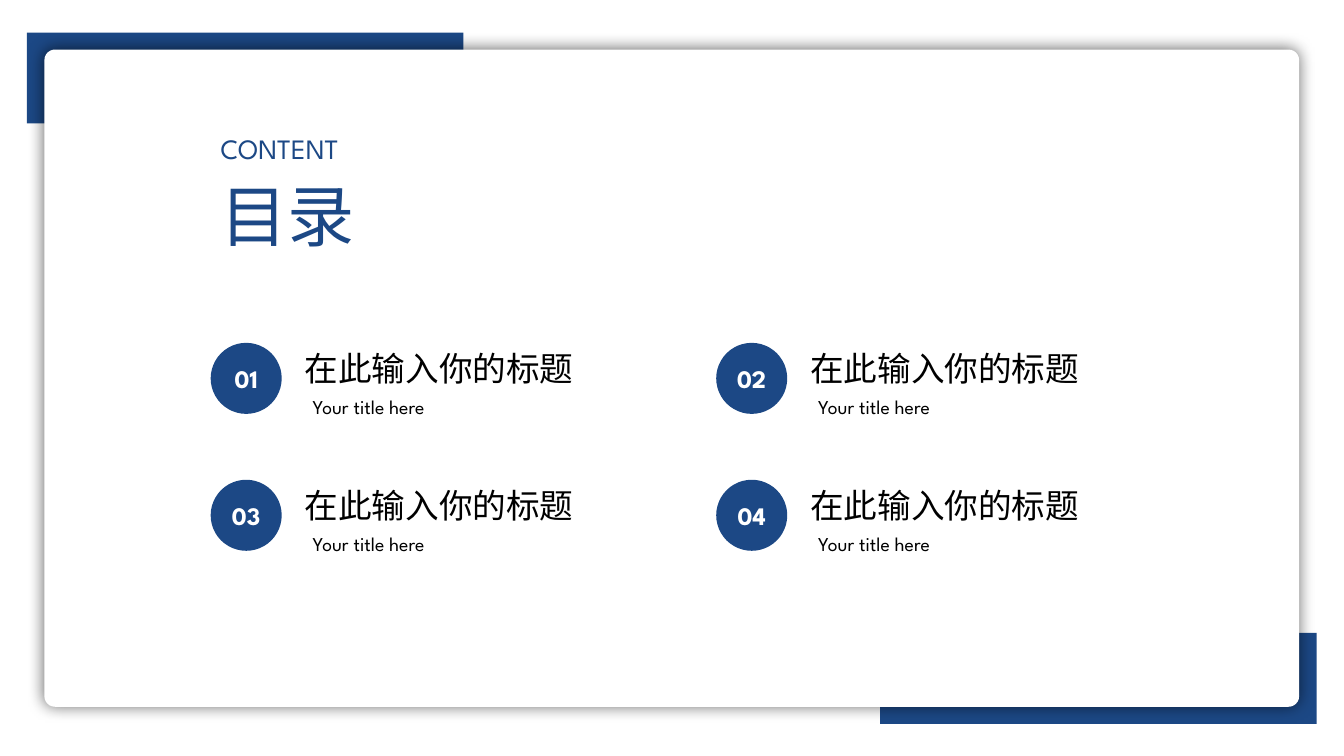
"""Build a contents slide with four numbered entries on a shadowed card."""
from dataclasses import dataclass

from lxml import etree
from pptx import Presentation
from pptx import util as u
from pptx.dml.color import RGBColor
from pptx.enum import shapes, text
from pptx.oxml.ns import qn

HEADING = "目录"
KICKER = "CONTENT"
ENTRIES = [
    ("01", "在此输入你的标题", "Your title here"),
    ("02", "在此输入你的标题", "Your title here"),
    ("03", "在此输入你的标题", "Your title here"),
    ("04", "在此输入你的标题", "Your title here"),
]


@dataclass(frozen=True)
class Theme:
    blue: str = "1C4885"
    white: str = "FFFFFF"
    black: str = "000000"
    latin: str = "League Spartan"
    cjk: str = "Arial"
    heading: int = 48
    kicker: int = 20
    title: int = 24
    number: int = 18
    subtitle: int = 14


T = Theme()
SLIDE_W, SLIDE_H = 33.87, 19.05
CARD_X, CARD_Y, CARD_W, CARD_H = 1.12, 1.25, 31.62, 16.56
CORNER_X, CORNER_Y, CORNER_W, CORNER_H = 0.68, 0.82, 11, 2.29
LEFT, TOP = 5.31, 8.64
COLUMN_STEP, ROW_STEP = 12.74, 3.45
COLUMNS = 2
CIRCLE = 1.79


def add_block(s, kind, x, y, w, h, fill):
    sp = s.shapes.add_shape(kind, u.Cm(x), u.Cm(y), u.Cm(w), u.Cm(h))
    sp.shadow.inherit = False
    sp.fill.solid()
    sp.fill.fore_color.rgb = RGBColor.from_string(fill)
    sp.line.fill.background()
    return sp


def add_box(s, x, y, w, h):
    sp = s.shapes.add_textbox(u.Cm(x), u.Cm(y), u.Cm(w), u.Cm(h))
    sp.text_frame.word_wrap = True
    sp.text_frame.auto_size = text.MSO_AUTO_SIZE.SHAPE_TO_FIT_TEXT
    return sp


def write(sp, words, *, size, font, color, bold=False, align=text.PP_ALIGN.JUSTIFY):
    p = sp.text_frame.paragraphs[0]
    p.alignment = align
    r = p.add_run()
    r.text = words
    r.font.size = u.Pt(size)
    r.font.name = font
    r.font.bold = bold
    r.font.color.rgb = RGBColor.from_string(color)
    r.font.fill.solid()
    r.font.color.rgb = RGBColor.from_string(color)
    latin = r.font._element.find(qn("a:latin"))
    ea = etree.Element(qn("a:ea"), typeface=font)
    latin.addnext(ea)


def cast_shadow(sp, blur, opacity):
    effects = sp._element.spPr.find(qn("a:effectLst"))
    shadow = etree.SubElement(effects, qn("a:outerShdw"), blurRad=str(u.Cm(blur)),
                              algn="ctr", rotWithShape="0")
    color = etree.SubElement(shadow, qn("a:srgbClr"), val=T.black)
    etree.SubElement(color, qn("a:alpha"), val=str(opacity * 1000))


def add_entry(s, x, y, number, title, subtitle):
    sp = add_block(s, shapes.MSO_SHAPE.OVAL, x, y, CIRCLE, CIRCLE, T.blue)
    sp.text_frame.word_wrap = False
    sp.text_frame.vertical_anchor = text.MSO_ANCHOR.MIDDLE
    write(sp, number, size=T.number, font=T.latin, color=T.white, bold=True,
          align=text.PP_ALIGN.CENTER)
    write(add_box(s, x + 2.12, y, 10.29, 1.28), title,
          size=T.title, font=T.cjk, color=T.black)
    write(add_box(s, x + 2.32, y + 1.19, 7.44, 0.86), subtitle,
          size=T.subtitle, font=T.latin, color=T.black)


def main():
    prs = Presentation()
    prs.slide_width, prs.slide_height = u.Cm(SLIDE_W), u.Cm(SLIDE_H)
    s = prs.slides.add_slide(prs.slide_layouts[6])

    far_x = CARD_X + CARD_W + (CARD_X - CORNER_X) - CORNER_W
    far_y = CARD_Y + CARD_H + (CARD_Y - CORNER_Y) - CORNER_H
    for x, y in ((far_x, far_y), (CORNER_X, CORNER_Y)):
        add_block(s, shapes.MSO_SHAPE.RECTANGLE, x, y, CORNER_W, CORNER_H, T.blue)
    card = add_block(s, shapes.MSO_SHAPE.ROUNDED_RECTANGLE,
                     CARD_X, CARD_Y, CARD_W, CARD_H, T.white)
    card.adjustments[0] = 0.016
    cast_shadow(card, blur=0.4, opacity=60)

    write(add_box(s, LEFT, 4.27, 6.45, 2.31), HEADING,
          size=T.heading, font=T.cjk, color=T.blue)
    write(add_box(s, LEFT, 3.2, 6.45, 1.11), KICKER,
          size=T.kicker, font=T.latin, color=T.blue)
    for i, entry in enumerate(ENTRIES):
        row, column = divmod(i, COLUMNS)
        add_entry(s, LEFT + column * COLUMN_STEP, TOP + row * ROW_STEP, *entry)

    prs.save("out.pptx")


if __name__ == "__main__":
    main()
